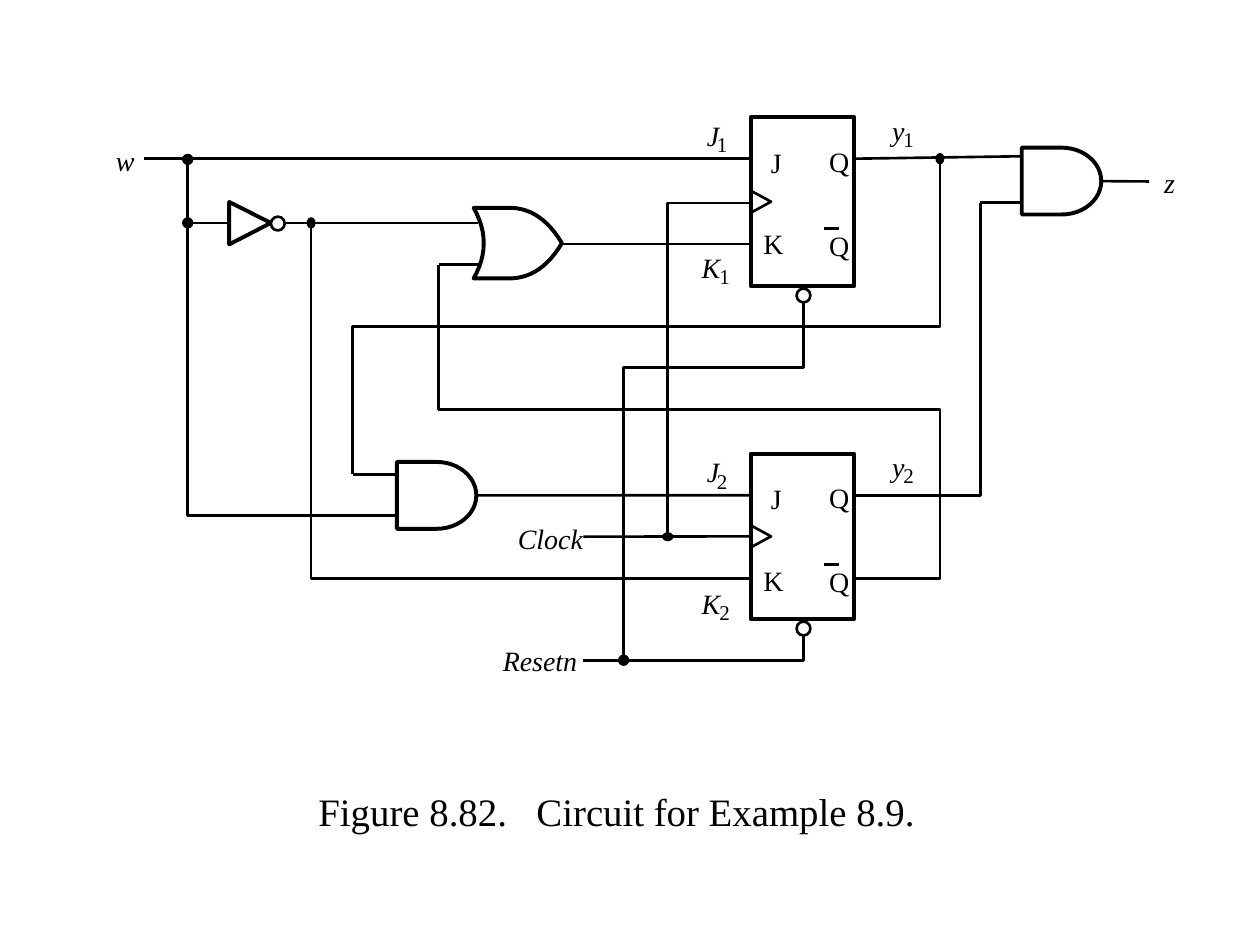
from lxml.etree import SubElement
from pptx import Presentation
from pptx.dml.color import RGBColor
from pptx.enum.shapes import MSO_CONNECTOR, MSO_SHAPE as Shape
from pptx.enum.text import MSO_ANCHOR, MSO_AUTO_SIZE as AutoSize, PP_ALIGN
from pptx.oxml.ns import qn
from pptx.util import Pt

INK, PAPER = "000000", "FFFFFF"
THIN, THICK = 1.5, 2.25
TOP, LEFT, BOTTOM, RIGHT = range(4)

# Horizontal places of the vertical wires and gates, in points
X_W, X_NOT_W, X_Y1_BACK, X_Y2_BACK = 107.3, 177.8, 201.6, 250.6
X_RESET, X_CLOCK, X_CLEAR, X_FEEDBACK, X_Y2 = 356.4, 381.6, 459.2, 537.1, 560.2
X_AND, X_FF, X_FF_END, X_OUT_AND = 226.8, 429, 488.2, 583.9
# Vertical places of the horizontal wires
Y_J1, Y_CLOCK1, Y_NOT_W, Y_K1, Y_OR_LOW = 90.7, 115.9, 127.4, 139.4, 151.2
Y_Y1_BACK, Y_RESET_TURN, Y_Y2_BACK = 186.5, 210.2, 234
Y_AND_HIGH, Y_J2, Y_AND_LOW, Y_CLOCK, Y_K2, Y_RESET = 271, 283, 294.5, 306.7, 330.5, 377.3

GLYPH_WIDTHS = {"J": 4.3, "K": 9.8, "Q": 12.2, "w": 11.5, "y": 7.2, "z": 7.2,
                "1": 7.2, "2": 7.2, "Clock": 37.4, "Resetn": 46.8}


def color(hex_string):
    return RGBColor.from_string(hex_string)


def curve(start, control, end, steps=12):
    """Points along a quadratic curve, both ends included."""
    return [tuple((1 - t) ** 2 * a + 2 * t * (1 - t) * b + t ** 2 * c
                  for a, b, c in zip(start, control, end))
            for t in (step / steps for step in range(steps + 1))]


class Circuit:
    """Holds the drawing style and the slide being drawn on."""

    def __init__(self, slide, font="Times New Roman"):
        self.slide, self.shapes, self.font = slide, slide.shapes, font

    def stroke(self, line, weight):
        line.color.rgb = color(INK)
        line.width = Pt(weight)

    def style_run(self, run, size, italic=False):
        style = {"name": self.font, "size": Pt(size), "italic": italic}
        for key, value in style.items():
            setattr(run.font, key, value)
        run.font.color.rgb = color(INK)

    def frame(self, text_frame, inset_x, inset_y, **settings):
        settings.update(margin_left=Pt(inset_x), margin_right=Pt(inset_x),
                        margin_top=Pt(inset_y), margin_bottom=Pt(inset_y))
        for key, value in settings.items():
            setattr(text_frame, key, value)

    def caption(self, number, words):
        title = self.shapes.title
        place = {"left": 61.2, "top": 445.7, "width": 582.5, "height": 36}
        for key, value in place.items():
            setattr(title, key, Pt(value))
        self.frame(title.text_frame, 7.2, 3.6, word_wrap=True,
                   auto_size=AutoSize.NONE, vertical_anchor=MSO_ANCHOR.MIDDLE)
        paragraph = title.text_frame.paragraphs[0]
        paragraph.alignment = PP_ALIGN.CENTER
        for text in (number, " ", words):
            run = paragraph.add_run()
            run.text = text
            self.style_run(run, 22.2)
            if text == " ":
                run.font._element.set("spc", "1110")  # widens the gap

    def label(self, text, x, y, size=16, italic=False):
        box = self.shapes.add_textbox(Pt(x), Pt(y), Pt(GLYPH_WIDTHS[text]), Pt(size * 1.2))
        self.frame(box.text_frame, 0, 0, word_wrap=False,
                   auto_size=AutoSize.SHAPE_TO_FIT_TEXT)
        run = box.text_frame.paragraphs[0].add_run()
        run.text = text
        self.style_run(run, size, italic)

    def indexed(self, letter, index, x, y, advance):
        """An italic letter with a subscript."""
        self.label(letter, x, y, italic=True)
        self.label(index, x + advance, y + 7.5, size=12)

    def line(self, start, end, source=None, target=None):
        """A straight wire; source and target are (shape, side) to join."""
        wire = self.shapes.add_connector(
            MSO_CONNECTOR.STRAIGHT, *(Pt(value) for value in (*start, *end)))
        self.stroke(wire.line, THIN)
        SubElement(wire._element.spPr, qn("a:effectLst"))
        if source:
            wire.begin_connect(*source)
        if target:
            wire.end_connect(*target)

    def outline(self, points, weight=THIN, close=False):
        first, *rest = [(Pt(x), Pt(y)) for x, y in points]
        builder = self.shapes.build_freeform(*first)
        builder.add_line_segments(rest, close=close)
        shape = builder.convert_to_shape()
        shape.shadow.inherit = False
        shape.fill.background()
        self.stroke(shape.line, weight)

    def block(self, kind, x, y, width, height, fill=PAPER, weight=THICK):
        shape = self.shapes.add_shape(kind, Pt(x), Pt(y), Pt(width), Pt(height))
        shape.shadow.inherit = False
        shape.fill.solid()
        shape.fill.fore_color.rgb = color(fill)
        self.stroke(shape.line, weight)
        return shape

    def bubble(self, x, y):
        self.block(Shape.OVAL, x, y, 7.9, 7.9, weight=THIN)

    def junction(self, x, y, width=5, height=5):
        self.block(Shape.OVAL, x - width / 2, y - height / 2, width, height, INK, THIN)

    def and_gate(self, x, y):
        return self.block(Shape.FLOWCHART_DELAY, x, y, 45.4, 38.2)

    def inverter(self):
        self.outline([(131, 115.4), (154.8, Y_NOT_W), (131, 139.7)], THICK, close=True)
        self.bubble(154.8, 123.8)

    def or_gate(self):
        top, middle, bottom = 118.8, 139, 159.1
        back, shoulder, tip = 270.7, 292.3, 321.1
        upper = curve((shoulder, top), (309.6, top + 0.7), (tip, middle))
        lower = curve((tip, middle), (309.6, bottom - 0.7), (shoulder, bottom))
        hollow = curve((back, bottom), (282.2, middle), (back, top))
        self.outline(upper + lower + hollow, THICK, close=True)

    def flip_flop(self, index, top, height):
        body = self.block(Shape.RECTANGLE, X_FF, top, X_FF_END - X_FF, height)
        middle = top + height / 2
        self.outline([(X_FF, middle + 6.3), (X_FF + 11.6, middle), (X_FF, middle - 6.3)])
        for pin, x, drop in (("J", 440.6, 16.2), ("Q", 473.8, 15.4),
                             ("K", 436.3, 62.6), ("Q", 473.8, 63.6)):
            self.label(pin, x, top + drop)
        self.line((470.9, top + 63.4), (479.5, top + 63.4))
        self.bubble(X_CLEAR - 4, top + height + 1.4)
        for signal, x, drop, advance in (("J", 403.9, 0.8, 5.8), ("K", 401, 76, 10.1),
                                         ("y", 509.8, -2.2, 6.5)):
            self.indexed(signal, index, x, top + drop, advance)
        return body


def main():
    presentation = Presentation()
    presentation.slide_width, presentation.slide_height = Pt(720), Pt(540)
    circuit = Circuit(presentation.slides.add_slide(presentation.slide_layouts[5]))
    circuit.caption("Figure 8.82.", "Circuit for Example 8.9.")

    bent_wires = [
        [(X_W, Y_J1), (X_W, Y_AND_LOW), (X_Y1_BACK, Y_AND_LOW)],
        [(333.4, Y_RESET), (X_CLEAR, Y_RESET), (X_CLEAR, 353.5)],
        [(X_RESET, Y_RESET), (X_RESET, Y_RESET_TURN), (X_CLEAR, Y_RESET_TURN),
         (X_CLEAR, 163.4)],
        [(X_CLOCK, Y_CLOCK), (X_CLOCK, Y_CLOCK1), (X_FF, Y_CLOCK1)],
        [(X_FF_END, Y_J2), (X_Y2, Y_J2), (X_Y2, Y_CLOCK1)],
        [(X_Y2_BACK, Y_OR_LOW), (X_Y2_BACK, Y_Y2_BACK), (X_FEEDBACK, Y_Y2_BACK),
         (X_FEEDBACK, Y_K2), (X_FF_END, Y_K2)],
        [(X_Y1_BACK, Y_AND_HIGH), (X_Y1_BACK, Y_Y1_BACK), (X_FEEDBACK, Y_Y1_BACK),
         (X_FEEDBACK, Y_J1)],
        [(X_FF, Y_K2), (X_NOT_W, Y_K2), (X_NOT_W, Y_NOT_W)],
    ]
    for points in bent_wires:
        circuit.outline(points)

    straight_wires = [
        ((82.1, Y_J1), (X_FF, Y_J1)),
        ((X_W, Y_NOT_W), (131, Y_NOT_W)),
        ((162.7, Y_NOT_W), (272.9, Y_NOT_W)),
        ((X_Y2_BACK, Y_OR_LOW), (274.3, Y_OR_LOW)),
        ((321.1, Y_K1), (X_FF, Y_K1)),
        ((X_Y1_BACK, Y_AND_HIGH), (X_AND, Y_AND_HIGH)),
        ((X_Y1_BACK, Y_AND_LOW), (X_AND, Y_AND_LOW)),
        ((X_FF_END, Y_J1), (X_OUT_AND, 89.3)),
        ((X_Y2, Y_CLOCK1), (X_OUT_AND, Y_CLOCK1)),
    ]
    for start, end in straight_wires:
        circuit.line(start, end)

    circuit.inverter()
    circuit.or_gate()
    j2_gate = circuit.and_gate(X_AND, 264)
    z_gate = circuit.and_gate(X_OUT_AND, 84.4)
    circuit.flip_flop("1", 67, 96.5)
    second = circuit.flip_flop("2", 259.2, 94.6)

    circuit.line((272.2, Y_J2), (X_FF, Y_J2), source=(j2_gate, RIGHT))
    circuit.line((629.3, 103.7), (656.6, 103.7), source=(z_gate, RIGHT))
    circuit.line((333.4, Y_CLOCK), (X_FF, Y_CLOCK), target=(second, LEFT))

    for x, y in ((X_W, Y_J1 + 0.4), (X_W, Y_NOT_W), (X_RESET, Y_RESET)):
        circuit.junction(x, y)
    for x, y in ((X_NOT_W, Y_NOT_W), (X_FEEDBACK, Y_J1)):
        circuit.junction(x, y, width=3.6)
    circuit.junction(X_CLOCK, Y_CLOCK, height=3.6)

    for name, x, y in (("w", 66.2, 82.1), ("z", 665.3, 94.3),
                       ("Clock", 295.9, 298.1), ("Resetn", 287.3, 367.9)):
        circuit.label(name, x, y, italic=True)
    presentation.save("out.pptx")


if __name__ == "__main__":
    main()
